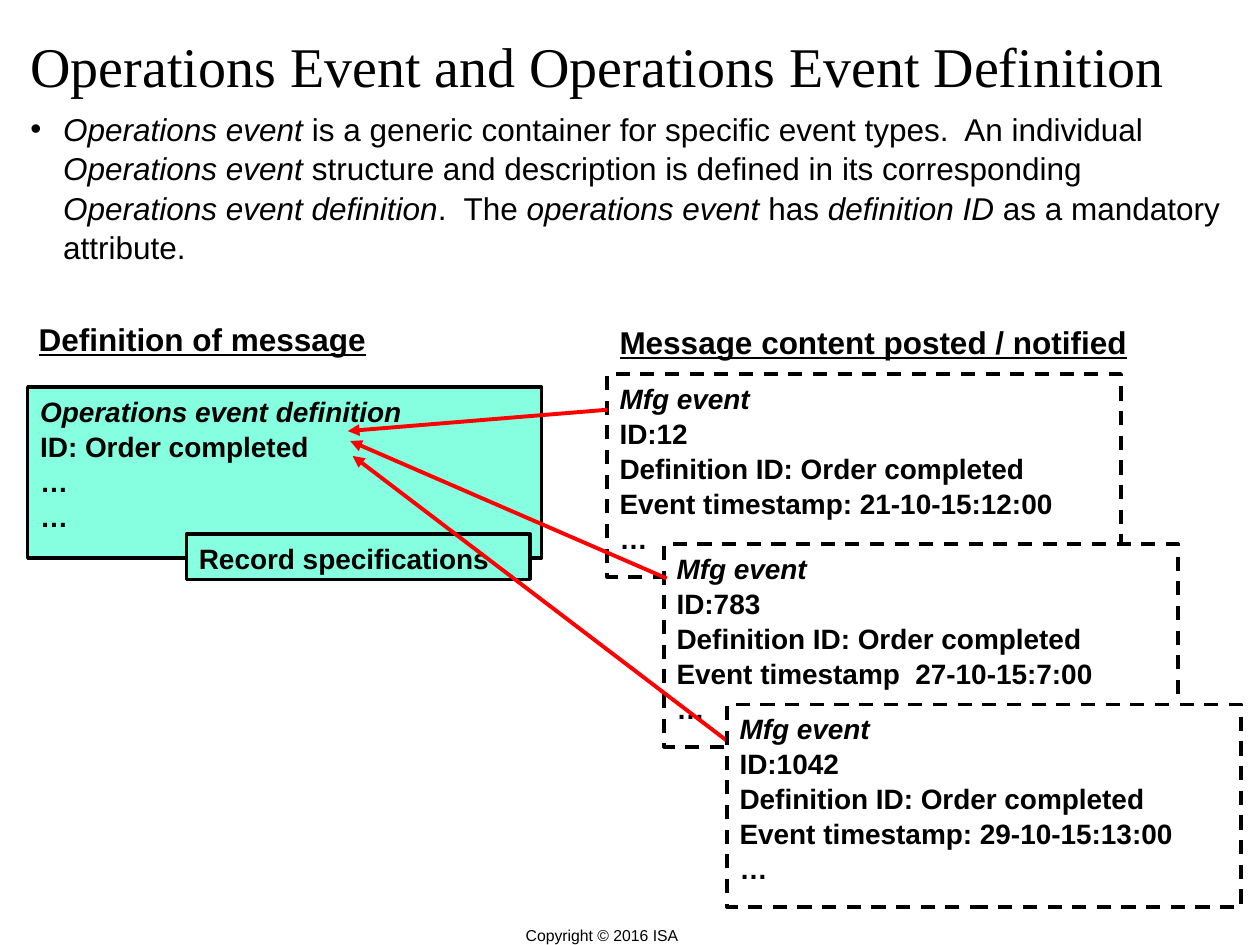
from lxml import etree
from pptx import Presentation
from pptx.dml.color import RGBColor
from pptx.enum.dml import MSO_LINE
from pptx.enum.shapes import MSO_CONNECTOR, MSO_SHAPE
from pptx.enum.text import MSO_ANCHOR, MSO_AUTO_SIZE, PP_ALIGN
from pptx.oxml.ns import qn
from pptx.util import Cm, Pt

RECTANGLE = MSO_SHAPE.RECTANGLE
STRAIGHT = MSO_CONNECTOR.STRAIGHT
DASH = MSO_LINE.DASH
TOP, MIDDLE = MSO_ANCHOR.TOP, MSO_ANCHOR.MIDDLE
LEFT, CENTER = PP_ALIGN.LEFT, PP_ALIGN.CENTER
NO_FIT, GROW = MSO_AUTO_SIZE.NONE, MSO_AUTO_SIZE.SHAPE_TO_FIT_TEXT

# Theme: colours, type and strokes
THEME = {
    "ink": RGBColor(0x00, 0x00, 0x00),
    "paper": RGBColor(0xFF, 0xFF, 0xFF),
    "mint": RGBColor(0x85, 0xFF, 0xE0),
    "red": RGBColor(0xFF, 0x00, 0x00),
    "title": {"name": "Times New Roman", "size": Pt(32)},
    "body": {"name": "Arial", "size": Pt(18)},
    "heading": {"name": "Arial", "size": Pt(18), "bold": True, "underline": True},
    "record": {"name": "Arial", "size": Pt(16), "bold": True},
    "footer": {"name": "Arial", "size": Pt(9)},
    "border": Pt(2),
    "arrow": Pt(2.25),
    "leading": 1.04,
}

# Content: a span is (text, italic); positions are in centimetres
TITLE = "Operations Event and Operations Event Definition"
BODY = [
    ("Operations event ", True),
    ("is a generic container for specific event types.  An individual ", False),
    ("Operations event ", True),
    ("structure and description is defined in its corresponding ", False),
    ("Operations event definition", True),
    (".  The ", False),
    ("operations event ", True),
    ("has ", False),
    ("definition ID ", True),
    ("as a mandatory attribute.", False),
]
FOOTER = "Copyright © 2016 ISA"
HEADINGS = [
    ("Message content posted / notified", (12.24, 6.35, 10.85, 1.02)),
    ("Definition of message", (0.53, 6.3, 7.16, 1.02)),
]
DEFINITION = ["Operations event definition", "ID: Order completed", "…", "…"]
SPECIFICATION = "Record specifications"
EVENTS = [  # corner, ID, timestamp line, fill
    ((12.24, 7.54), "12", "Event timestamp: 21-10-15:12:00", None),
    ((13.39, 10.97), "783", "Event timestamp  27-10-15:7:00", "paper"),
    ((14.66, 14.2), "1042", "Event timestamp: 29-10-15:13:00", "paper"),
]
EVENT_SIZE = (10.36, 4.09)
ARROWS = [  # from event, to definition ID
    ((12.24, 8.26), (7.01, 8.69)),
    ((13.44, 11.66), (7.06, 8.89)),
    ((14.73, 14.99), (7.11, 9.19)),
]


def lengths(values):
    return [Cm(value) for value in values]


def set_all(target, formats):
    for name, value in formats.items():
        setattr(target, name, value)


def record_lines(lines):
    """First line in italics, the rest upright."""
    return [[(line, index == 0)] for index, line in enumerate(lines)]


def write(box, paragraphs, style, align=LEFT, anchor=TOP, wrap=True, fit=NO_FIT):
    frame = box.text_frame
    set_all(frame, {"word_wrap": wrap, "auto_size": fit, "vertical_anchor": anchor})
    for index, spans in enumerate(paragraphs):
        para = frame.add_paragraph() if index else frame.paragraphs[0]
        set_all(para, {"alignment": align, "space_before": Pt(0),
                       "line_spacing": THEME["leading"]})
        for text, italic in spans:
            span = para.add_run()
            span.text = text
            set_all(span.font, {**THEME[style], "italic": italic})
            span.font.color.rgb = THEME["ink"]


def place(box, area):
    set_all(box, dict(zip(("left", "top", "width", "height"), lengths(area))))


def add_label(slide, text, area, style, **options):
    box = slide.shapes.add_textbox(*lengths(area))
    write(box, [[(text, False)]], style, **options)


def add_record(slide, area, paragraphs, fill=None, dash=None):
    box = slide.shapes.add_shape(RECTANGLE, *lengths(area))
    box.shadow.inherit = False
    if fill:
        box.fill.solid()
        box.fill.fore_color.rgb = THEME[fill]
    else:
        box.fill.background()
    box.line.color.rgb = THEME["ink"]
    set_all(box.line, {"width": THEME["border"], "dash_style": dash})
    write(box, paragraphs, "record")


def add_event(slide, event):
    corner, number, timestamp, fill = event
    lines = ["Mfg event", f"ID:{number}", "Definition ID: Order completed", timestamp, "…"]
    add_record(slide, corner + EVENT_SIZE, record_lines(lines), fill, DASH)


def add_arrow(slide, arrow):
    start, end = arrow
    line = slide.shapes.add_connector(STRAIGHT, *lengths(start + end))
    line.line.color.rgb = THEME["red"]
    line.line.width = THEME["arrow"]
    etree.SubElement(line.line._get_or_add_ln(), qn("a:tailEnd"), type="triangle")
    etree.SubElement(line._element.spPr, qn("a:effectLst"))


def add_bullet(para, indent):
    properties = para._p.get_or_add_pPr()
    properties.set("marL", str(Cm(indent)))
    properties.set("indent", str(-Cm(indent)))
    etree.SubElement(properties, qn("a:buFont"), typeface="Arial")
    etree.SubElement(properties, qn("a:buChar"), char="•")


def main():
    deck = Presentation()
    deck.slide_width, deck.slide_height = Cm(25.4), Cm(19.05)
    slide = deck.slides.add_slide(deck.slide_layouts[1])

    # Title and bullet
    title, body = slide.placeholders
    place(title, (0.36, 0.2, 24.66, 2.16))
    write(title, [[(TITLE, False)]], "title", anchor=MIDDLE)
    place(body, (0.36, 2.06, 24.74, 3.2))
    add_bullet(body.text_frame.paragraphs[0], 0.66)
    write(body, [BODY], "body")

    # Footer and column headings
    add_label(slide, FOOTER, (5.72, 18.52, 12.83, 0.56), "footer", align=CENTER)
    for text, area in HEADINGS:
        add_label(slide, text, area, "heading", wrap=False, fit=GROW)

    # Definition, then events and arrows in stacking order
    add_record(slide, (0.56, 7.8, 10.36, 3.45), record_lines(DEFINITION), "mint")
    add_event(slide, EVENTS[0])
    add_arrow(slide, ARROWS[0])
    add_event(slide, EVENTS[1])
    add_record(slide, (3.76, 10.77, 6.93, 0.91), [[(SPECIFICATION, False)]], "mint")
    for arrow in ARROWS[1:]:
        add_arrow(slide, arrow)
    add_event(slide, EVENTS[2])

    deck.save("out.pptx")


if __name__ == "__main__":
    main()
